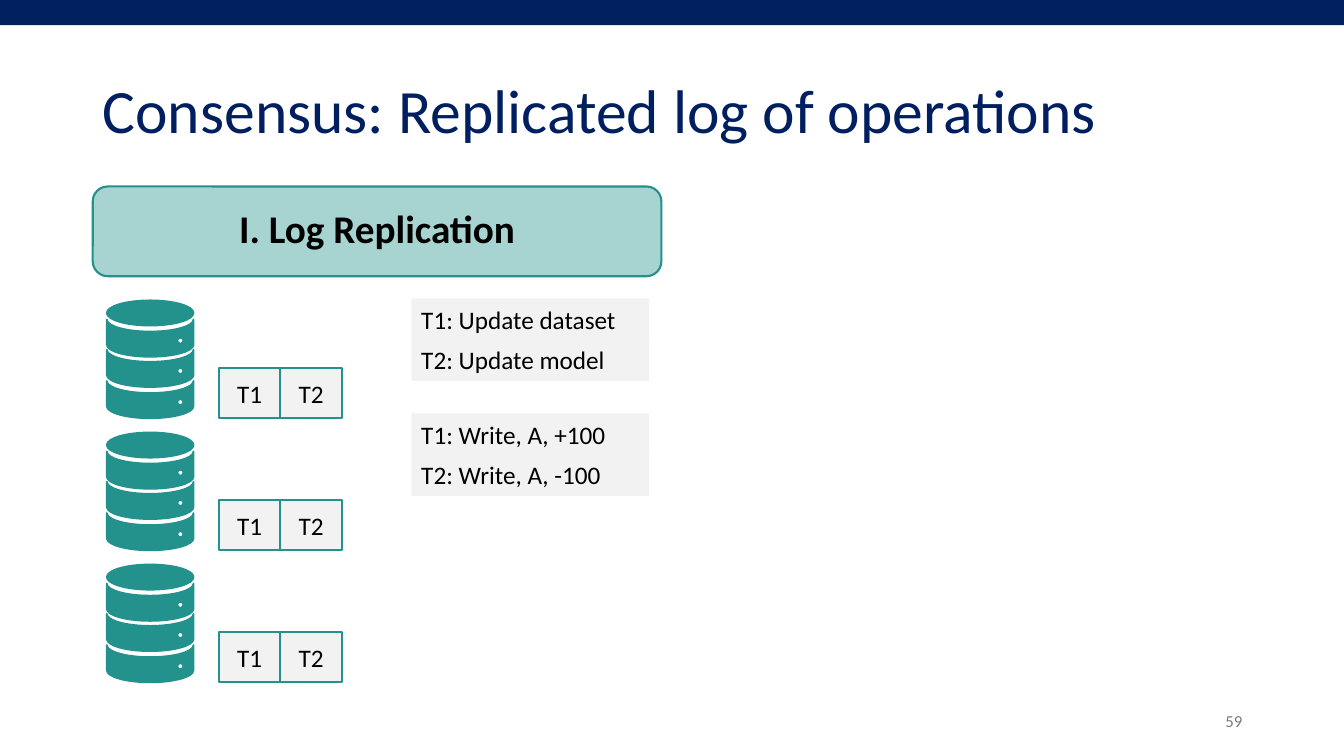
from math import cos, pi, sin

from lxml import etree
from pptx import Presentation
from pptx.dml.color import RGBColor
from pptx.enum.shapes import MSO_SHAPE
from pptx.enum.text import MSO_ANCHOR, PP_ALIGN
from pptx.oxml.ns import qn
from pptx.util import Pt

RECT, ROUNDED = MSO_SHAPE.RECTANGLE, MSO_SHAPE.ROUNDED_RECTANGLE
LEFT, CENTER, RIGHT = PP_ALIGN.LEFT, PP_ALIGN.CENTER, PP_ALIGN.RIGHT
MIDDLE = MSO_ANCHOR.MIDDLE

PX = 9144  # EMU per px, 100 px to the inch
FONT = "Calibri"
NAVY, TITLE_BLUE, TEAL = "002060", "001F60", "23918C"
PALE, BLACK, GREY = "F2F2F2", "000000", "797979"


def px(*lengths):
    return [round(length * PX) for length in lengths]


def color(hex_string):
    return RGBColor.from_string(hex_string)


def paint(shape, fill, line=None, width=1.5):
    shape.shadow.inherit = False
    shape.fill.solid()
    shape.fill.fore_color.rgb = color(fill)
    if line:
        shape.line.color.rgb = color(line)
        shape.line.width = Pt(width)
    else:
        shape.line.fill.background()


def write(shape, text, size, ink=BLACK, align=LEFT, bold=False, spacing=None):
    frame = shape.text_frame
    frame.word_wrap = True
    frame.vertical_anchor = MIDDLE
    paragraph = frame.paragraphs[0]
    paragraph.alignment = align
    paragraph.line_spacing = spacing
    run = paragraph.add_run()
    run.text = text
    run.font.name = FONT
    run.font.size = Pt(size)
    run.font.bold = bold
    run.font.color.rgb = color(ink)


def add_box(parent, preset, box, fill, line=None):
    shape = parent.shapes.add_shape(preset, *px(*box))
    paint(shape, fill, line)
    return shape


def add_label(slide, box, text, size, **style):
    write(slide.shapes.add_textbox(*px(*box)), text, size, **style)


def quarter_arc(center, radii, quarter, turn):
    """Two control points and the end of a quarter ellipse; turn 1 is clockwise."""
    start, end = quarter * pi / 2, (quarter + turn) * pi / 2
    pull = 0.55 * turn
    unit_points = [
        (cos(start) - pull * sin(start), sin(start) + pull * cos(start)),
        (cos(end) + pull * sin(end), sin(end) - pull * cos(end)),
        (cos(end), sin(end)),
    ]
    return [px(center[0] + radii[0] * x, center[1] + radii[1] * y) for x, y in unit_points]


def ellipse(center, radii, turn):
    return [quarter_arc(center, radii, turn * i, turn) for i in range(4)]


def add_curved_shape(parent, contours):
    """Each contour is a closed list of segments: one point for a line, three for a curve."""
    builder = parent.shapes.build_freeform(*contours[0][-1][-1], scale=1.0)
    for i, contour in enumerate(contours):
        if i:
            builder.move_to(*contour[-1][-1])
        builder.add_line_segments([point for segment in contour for point in segment],
                                  close=True)
    shape = builder.convert_to_shape()
    lines = iter(list(shape.element.spPr.iter(qn("a:lnTo"))))
    for contour in contours:
        for segment in contour:
            first, *others = [next(lines) for _ in segment]
            if others:
                first.tag = qn("a:cubicBezTo")
            for line in others:
                first.append(line[0])
                line.getparent().remove(line)
    paint(shape, TEAL, TEAL, 1.27)


def add_disk(parent, left, top, width):
    """One slice of a database, with a round light cut out of it."""
    radii, side = (width / 2, 12), 25
    upper = (left + width / 2, top)
    lower = (left + width / 2, top + side)
    rim = [
        quarter_arc(upper, radii, 1, 1),
        [px(left, top + side)],
        quarter_arc(lower, radii, 2, -1),
        quarter_arc(lower, radii, 1, -1),
        [px(left + width, top)],
        quarter_arc(upper, radii, 0, 1),
    ]
    light = ellipse((left + 73, top + 21), (3, 3), 1)
    add_curved_shape(parent, [light, rim])


def add_database(slide, left, top, width):
    database = slide.shapes.add_group_shape()
    lid_center = (left + width / 2, top + 12.5)
    add_curved_shape(database, [ellipse(lid_center, (width / 2, 12.5), 1)])
    for disk_offset in (19, 49, 80):
        add_disk(database, left, top + disk_offset, width)


def add_log(slide, left, top):
    log = slide.shapes.add_group_shape()
    for i, entry in enumerate(("T1", "T2")):
        cell = add_box(log, RECT, (left + i * 61, top, 61, 50), PALE, TEAL)
        write(cell, entry, 18, align=CENTER)


def add_replicas(slide, left, top, count=3, pitch=131):
    tops = [top + i * pitch for i in range(count)]
    for replica_top in tops:
        add_database(slide, left, replica_top, 86)
    for replica_top in tops:
        add_log(slide, left + 111, replica_top + 67)


def add_operations(slide, left, top, operations):
    group = slide.shapes.add_group_shape()
    for i, operation in enumerate(operations):
        write(add_box(group, RECT, (left, top + i * 40, 236, 42), PALE), operation, 18)


def add_heading_panel(slide, box):
    panel = add_box(slide, ROUNDED, box, TEAL, TEAL)
    panel_color = panel.element.spPr.find(qn("a:solidFill"))[0]
    etree.SubElement(panel_color, qn("a:alpha")).set("val", "40000")


def main():
    deck = Presentation()
    deck.slide_width, deck.slide_height = px(1333, 750)
    slide = deck.slides.add_slide(deck.slide_layouts[6])

    # Banner, title, heading and page number
    add_box(slide, RECT, (0, 0, 1333, 25), NAVY)
    add_heading_panel(slide, (92, 185, 564, 89))
    add_label(slide, (92, 40, 1150, 145), "Consensus: Replicated log of operations",
              44, ink=TITLE_BLUE, spacing=0.9)
    add_label(slide, (92, 184, 564, 90), "I. Log Replication", 28,
              align=CENTER, bold=True, spacing=0.9)
    add_label(slide, (942, 695, 300, 40), "59", 12, ink=GREY, align=RIGHT)

    # Replicas with their logs, and the logged operations
    add_replicas(slide, 106, 298)
    add_operations(slide, 408, 296, ("T1: Update dataset", "T2: Update model"))
    add_operations(slide, 408, 410, ("T1: Write, A, +100", "T2: Write, A, -100"))

    deck.save("out.pptx")


if __name__ == "__main__":
    main()
